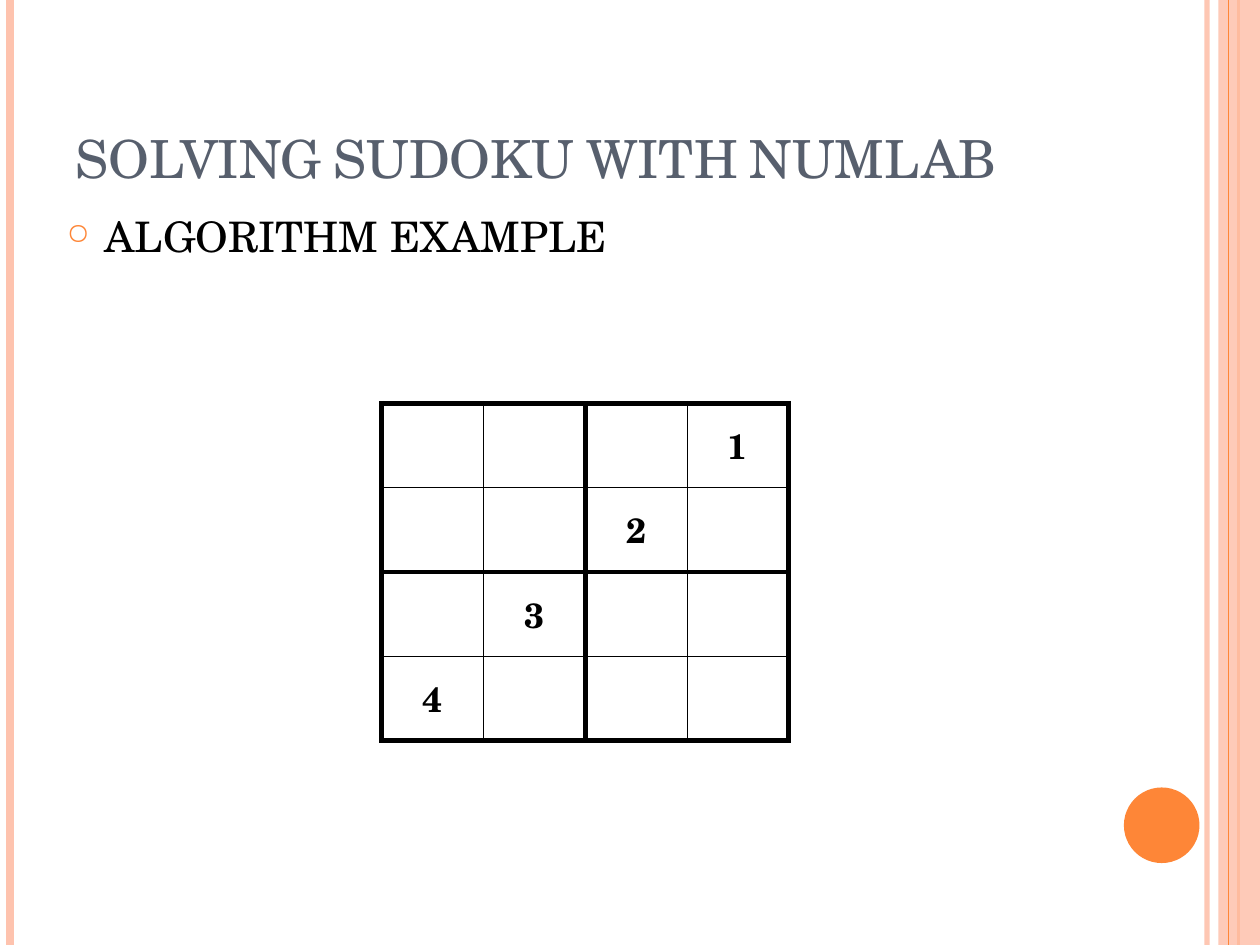
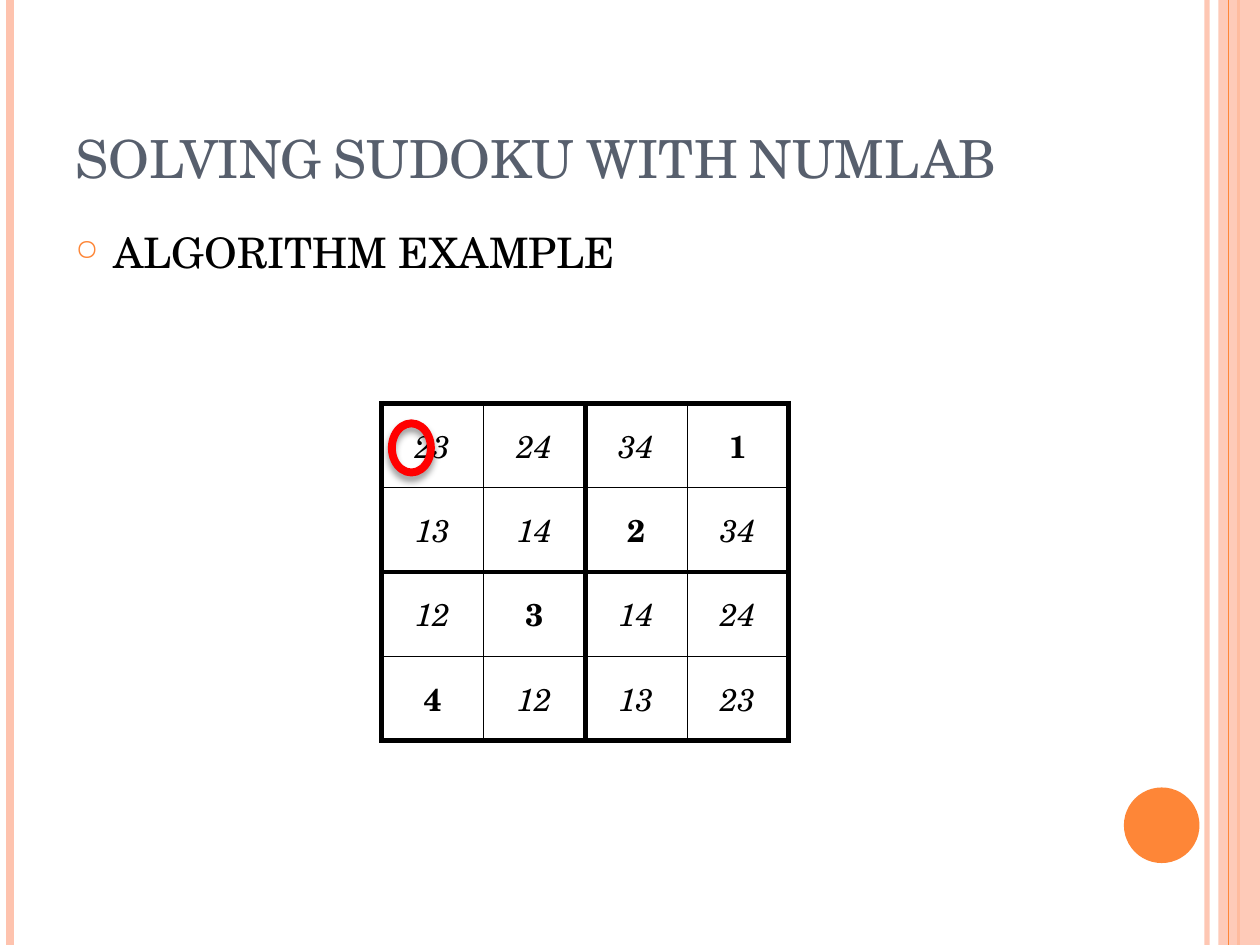
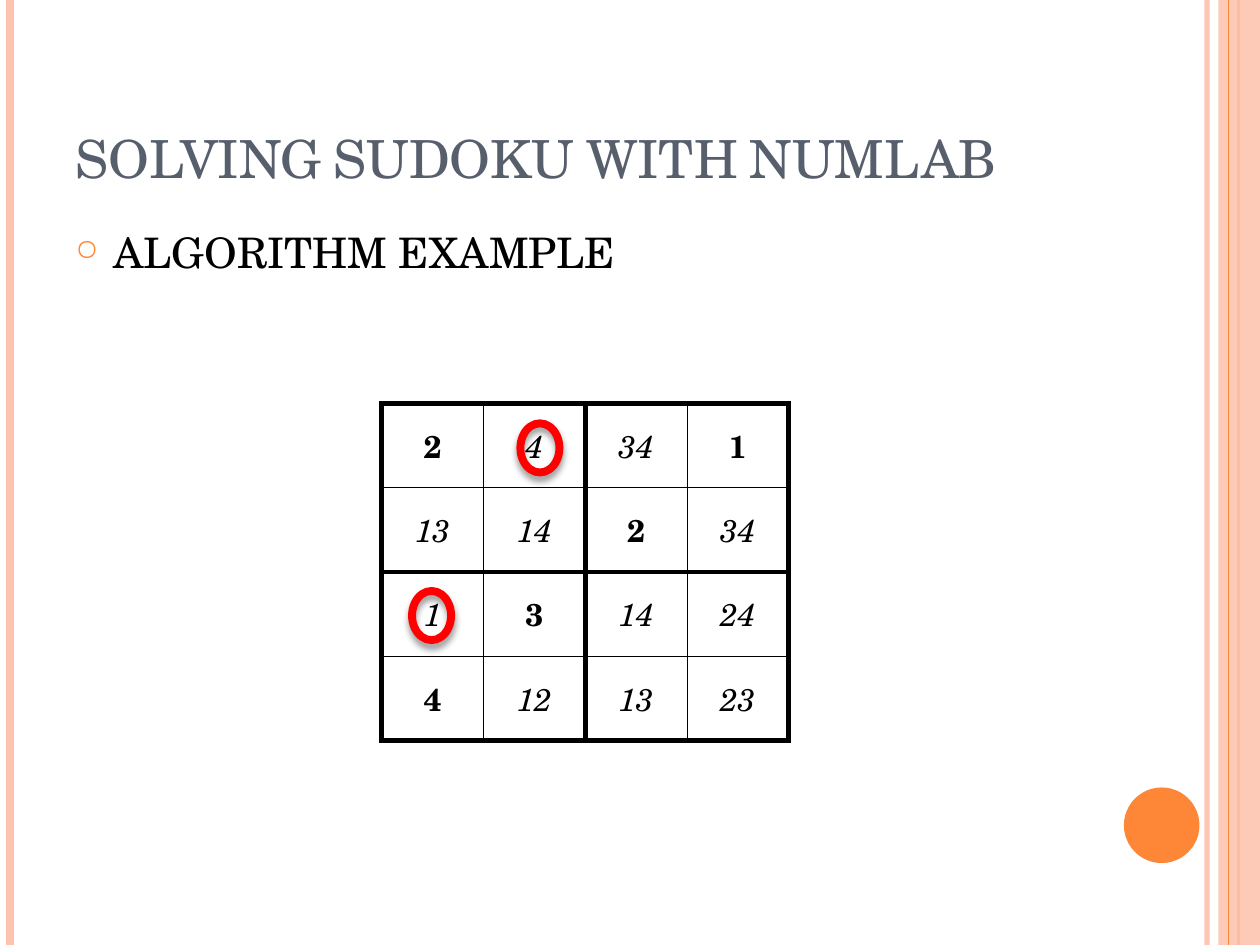
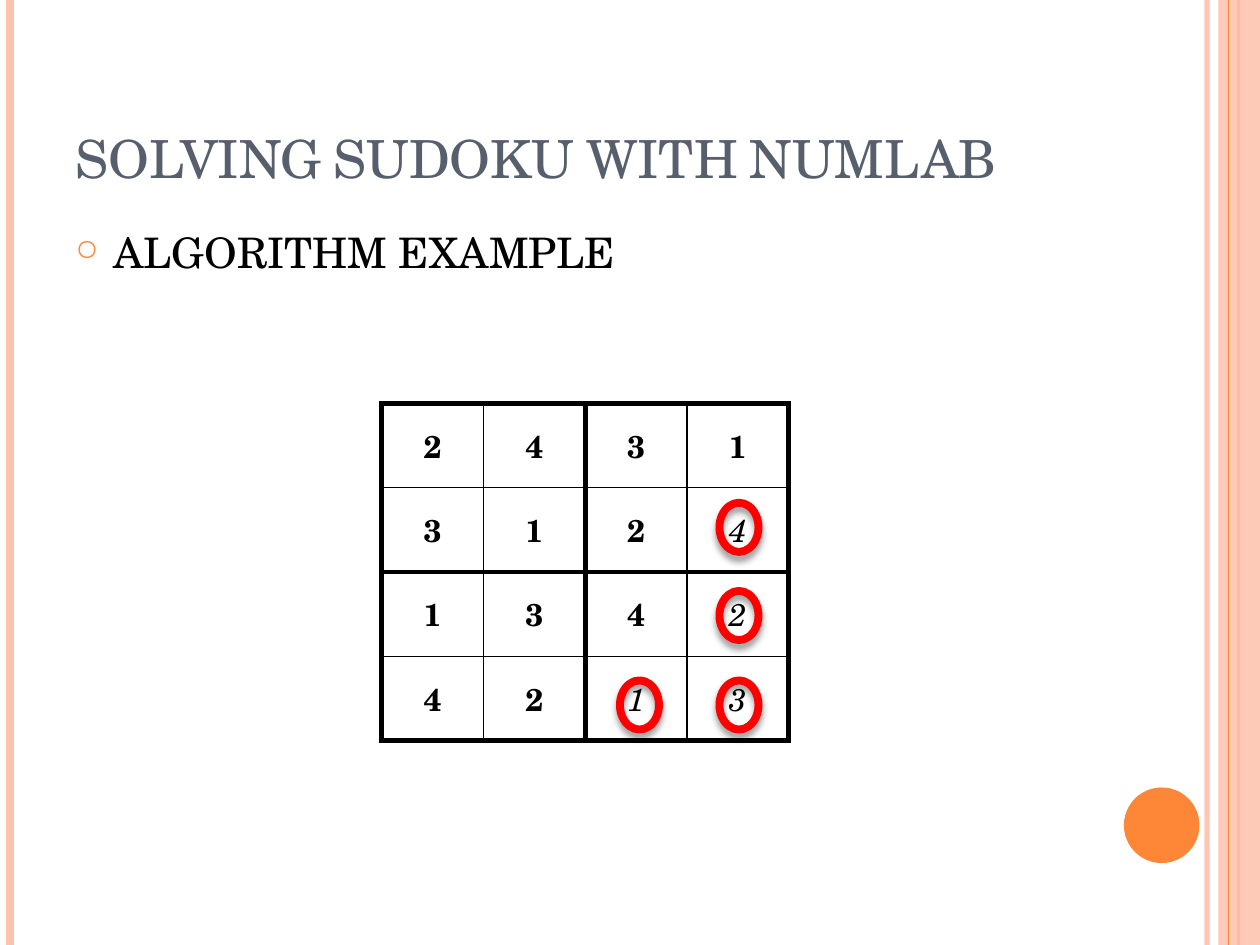
from lxml.etree import SubElement
from pptx import Presentation
from pptx.dml.color import RGBColor
from pptx.enum.shapes import MSO_CONNECTOR as Connector, MSO_SHAPE as Shape
from pptx.enum.text import MSO_ANCHOR as Anchor, PP_ALIGN as Align
from pptx.oxml.ns import qn
from pptx.util import Inches, Pt

COLORS = {
    "ink": "000000",
    "title": "575F6D",
    "accent": "FE8637",
    "blush": "FEC3AE",
    "ring": "FF0000",
    "paper": "FFFFFF",
}
FONT = "TeX Gyre Schola"
WIDTH, HEIGHT = 10, 7.5
GRID = 4
BLOCK = 2
THICK = 3


def rgb(name):
    return RGBColor.from_string(COLORS[name])


def set_alpha(element, percent):
    for color in element.iter(qn("a:srgbClr")):
        SubElement(color, qn("a:alpha"), val=str(percent * 1000))


class SudokuDeck:
    def __init__(self):
        self.deck = Presentation()
        self.deck.slide_width = Inches(WIDTH)
        self.deck.slide_height = Inches(HEIGHT)
        self.page = None

    def add_page(self, body_left, body_top):
        self.page = self.deck.slides.add_slide(self.deck.slide_layouts[6])
        background = self.page.background.fill
        background.solid()
        background.fore_color.rgb = rgb("paper")
        self.stripe(9.58, "blush", 3, 93)
        self.stripe(0.08, "blush", 4.5)
        self.stripe(9.83, "accent", 1.5)
        self.solid(Shape.RECTANGLE, 9.67, 0, 0.33, HEIGHT, "blush", 87)
        self.stripe(9.75, "accent", 0.75)
        self.solid(Shape.OVAL, 8.92, 6.25, 0.6, 0.6, "accent")
        self.title("SOLVING SUDOKU WITH NUMLAB")
        self.bullet("ALGORITHM EXAMPLE", body_left, body_top)

    def stripe(self, x, color, weight, alpha=100):
        line = self.page.shapes.add_connector(
            Connector.STRAIGHT, Inches(x), 0, Inches(x), Inches(HEIGHT))
        line.line.color.rgb = rgb(color)
        line.line.width = Pt(weight)
        properties = line._element.spPr
        if alpha < 100:
            set_alpha(properties, alpha)
        SubElement(properties, qn("a:effectLst"))

    def solid(self, kind, left, top, width, height, color, alpha=100):
        shape = self.page.shapes.add_shape(
            kind, Inches(left), Inches(top), Inches(width), Inches(height))
        shape.shadow.inherit = False
        shape.fill.solid()
        shape.fill.fore_color.rgb = rgb(color)
        shape.line.fill.background()
        if alpha < 100:
            set_alpha(shape._element.spPr, alpha)

    def text_box(self, left, top, width, height, anchor):
        box = self.page.shapes.add_textbox(
            Inches(left), Inches(top), Inches(width), Inches(height))
        box.text_frame.word_wrap = True
        box.text_frame.vertical_anchor = anchor
        return box.text_frame.paragraphs[0]

    def span(self, para, text, size, color="ink", bold=False, italic=False):
        span = para.add_run()
        span.text = text
        span.font.name = FONT
        span.font.size = Pt(size)
        span.font.bold = bold
        span.font.italic = italic
        span.font.color.rgb = rgb(color)
        return span

    def title(self, text):
        para = self.text_box(0.5, 0.3, 8.17, 1.25, Anchor.BOTTOM)
        span = self.span(para, text, 30, "title")
        span._r.get_or_add_rPr().set("cap", "small")

    def bullet(self, text, left, top):
        para = self.text_box(left, top, 8.17, 5.33, Anchor.TOP)
        para.space_before = Pt(6)
        properties = para._p.get_or_add_pPr()
        properties.set("marL", str(Inches(0.3)))
        properties.set("indent", str(-Inches(0.3)))
        color = SubElement(properties, qn("a:buClr"))
        SubElement(color, qn("a:srgbClr"), val=COLORS["accent"])
        SubElement(properties, qn("a:buSzPct"), val="70000")
        SubElement(properties, qn("a:buChar"), char="○")
        self.span(para, text, 24)

    def grid(self, rows, size, thin, guesses):
        table = self.page.shapes.add_table(
            GRID, GRID, Inches(3.03), Inches(3.2), Inches(3.23), Inches(2.68)).table
        table.first_row = False
        table.horz_banding = False
        for r, row in enumerate(rows):
            for c, text in enumerate(row):
                cell = table.cell(r, c)
                self.borders(cell, r, c, thin)
                cell.fill.background()
                cell.vertical_anchor = Anchor.MIDDLE
                para = cell.text_frame.paragraphs[0]
                para.alignment = Align.CENTER
                if text:
                    italic = len(text) > 1 or (r, c) in guesses
                    self.span(para, text, size, bold=not italic, italic=italic)

    def borders(self, cell, row, column, thin):
        first, last = 0, BLOCK - 1
        edges = {
            "a:lnL": column % BLOCK == first,
            "a:lnR": column % BLOCK == last,
            "a:lnT": row % BLOCK == first,
            "a:lnB": row % BLOCK == last,
        }
        properties = cell._tc.get_or_add_tcPr()
        for tag, heavy in edges.items():
            edge = SubElement(properties, qn(tag), w=str(Pt(THICK if heavy else thin)))
            fill = SubElement(edge, qn("a:solidFill"))
            SubElement(fill, qn("a:srgbClr"), val=COLORS["ink"])

    def ring(self, left, top):
        ring = self.page.shapes.add_shape(
            Shape.OVAL, Inches(left), Inches(top), Inches(0.31), Inches(0.39))
        ring.fill.background()
        ring.line.color.rgb = rgb("ring")
        ring.line.width = Pt(4.5)
        ring.shadow.inherit = False
        effects = ring._element.spPr.find(qn("a:effectLst"))
        shadow = SubElement(
            effects, qn("a:outerShdw"), blurRad=str(Pt(4)), dist=str(Pt(3)),
            dir="5400000", rotWithShape="0")
        SubElement(shadow, qn("a:srgbClr"), val=COLORS["ink"])
        set_alpha(shadow, 40)

    def puzzle(self, rows, rings, size=18, thin=0.25, body=(0.5, 1.75)):
        self.add_page(*body)
        self.grid(rows, size, thin, rings)
        for left, top in rings.values():
            self.ring(left, top)


show = SudokuDeck()
show.puzzle(
    [["", "", "", "1"],
     ["", "", "2", ""],
     ["", "3", "", ""],
     ["4", "", "", ""]],
    {}, size=20, body=(0.43, 1.62))
show.puzzle(
    [["23", "24", "34", "1"],
     ["13", "14", "2", "34"],
     ["12", "3", "14", "24"],
     ["4", "12", "13", "23"]],
    {(0, 0): (3.11, 3.36)})
show.puzzle(
    [["2", "4", "34", "1"],
     ["13", "14", "2", "34"],
     ["1", "3", "14", "24"],
     ["4", "12", "13", "23"]],
    {(0, 1): (4.13, 3.36), (2, 0): (3.27, 4.69)})
show.puzzle(
    [["2", "4", "3", "1"],
     ["3", "1", "2", "4"],
     ["1", "3", "4", "2"],
     ["4", "2", "1", "3"]],
    {(3, 2): (4.92, 5.4), (2, 3): (5.71, 4.69),
     (3, 3): (5.71, 5.4), (1, 3): (5.71, 3.99)},
    thin=1)
show.deck.save("out.pptx")
